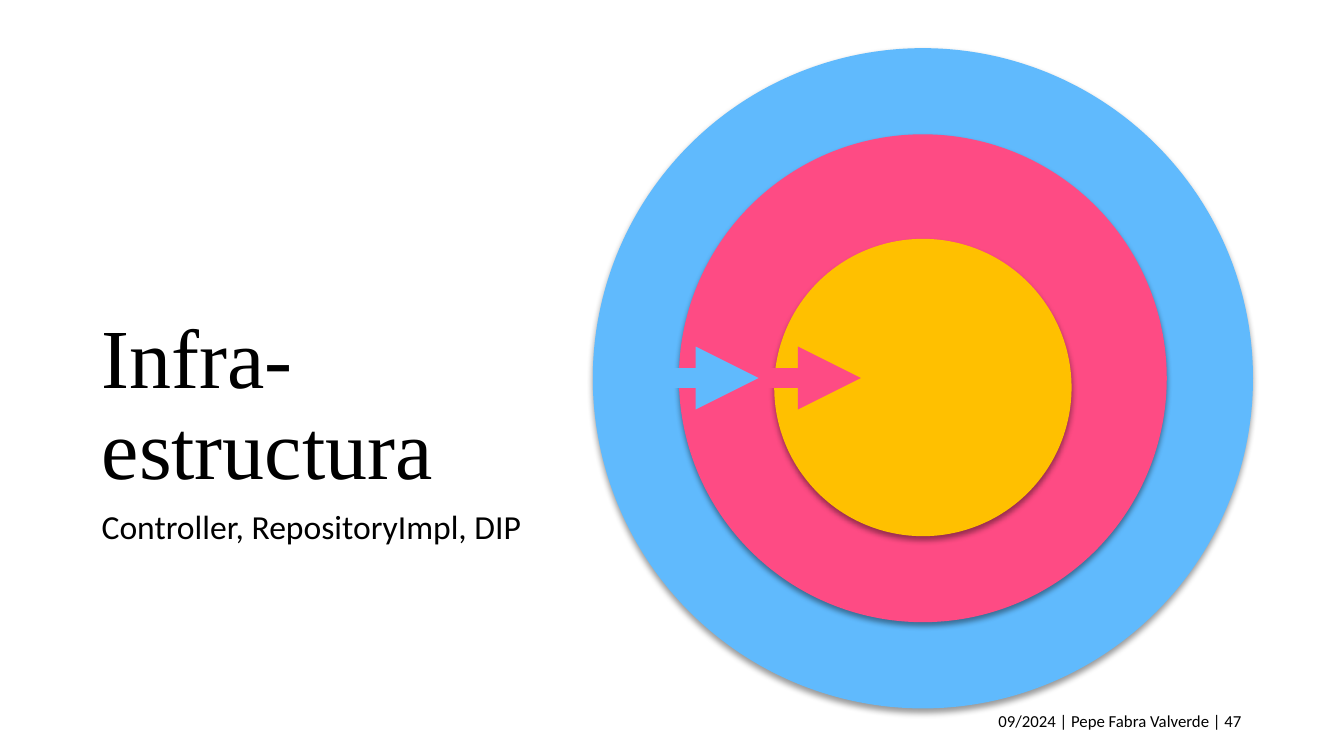
from dataclasses import dataclass

from lxml import etree
from pptx import Presentation
from pptx.dml.color import RGBColor
from pptx.enum.shapes import MSO_CONNECTOR, MSO_SHAPE
from pptx.enum.text import MSO_ANCHOR, MSO_AUTO_SIZE, PP_ALIGN
from pptx.oxml.ns import qn
from pptx.util import Pt

ELLIPSE, STRAIGHT = MSO_SHAPE.OVAL, MSO_CONNECTOR.STRAIGHT
TOP, MIDDLE, BOTTOM = MSO_ANCHOR.TOP, MSO_ANCHOR.MIDDLE, MSO_ANCHOR.BOTTOM
LEFT, RIGHT = PP_ALIGN.LEFT, PP_ALIGN.RIGHT
NO_FIT = MSO_AUTO_SIZE.NONE
TITLE_ONLY = 5


@dataclass(frozen=True)
class Theme:
    text: str = "000000"
    outer: str = "60BAFD"
    middle: str = "FE4B84"
    core: str = "FFC000"
    heading_font: str = "Times New Roman"
    body_font: str = "Calibri"
    title_size: float = 60
    subtitle_size: float = 24
    footer_size: float = 12
    arrow_width: float = 15


THEME = Theme()

TITLE = "Infra-estructura"
SUBTITLE = "Controller, RepositoryImpl, DIP"
FOOTER = "09/2024 | Pepe Fabra Valverde | 47"

# Layers from outside to inside: colour, diameter, centre height
LAYERS = [
    (THEME.outer, 471.6, 270.2),
    (THEME.middle, 348.5, 270.2),
    (THEME.core, 212.4, 276.8),
]
LAYERS_CENTRE = 659.2
ARROW_COLOURS = [THEME.outer, THEME.middle]
ARROW_START, ARROW_LENGTH, ARROW_HEIGHT = 468.9, 73, 270


def write(box, text, font, size, anchor=TOP, align=LEFT, spacing=1.0):
    frame = box.text_frame
    frame.word_wrap = True
    frame.auto_size = NO_FIT
    frame.vertical_anchor = anchor
    para = frame.paragraphs[0]
    para.alignment = align
    para.line_spacing = spacing
    para.space_before = Pt(0)
    span = para.add_run()
    span.text = text
    span.font.name = font
    span.font.size = Pt(size)
    span.font.color.rgb = RGBColor.from_string(THEME.text)


def add_soft_shadow(shape):
    shape.shadow.inherit = False
    effects = shape.element.spPr.find(qn("a:effectLst"))
    shadow = etree.SubElement(
        effects, qn("a:outerShdw"), blurRad=str(Pt(4)), dist=str(Pt(3)),
        dir="5400000", rotWithShape="0")
    colour = etree.SubElement(shadow, qn("a:srgbClr"), val="000000")
    etree.SubElement(colour, qn("a:alpha"), val="40000")


def add_layer(page, colour, diameter, centre_y):
    circle = page.shapes.add_shape(
        ELLIPSE, Pt(LAYERS_CENTRE - diameter / 2), Pt(centre_y - diameter / 2),
        Pt(diameter), Pt(diameter))
    circle.fill.solid()
    circle.fill.fore_color.rgb = RGBColor.from_string(colour)
    circle.line.fill.background()
    add_soft_shadow(circle)


def add_arrow(page, colour, start):
    arrow = page.shapes.add_connector(
        STRAIGHT, Pt(start), Pt(ARROW_HEIGHT),
        Pt(start + ARROW_LENGTH), Pt(ARROW_HEIGHT))
    arrow.line.width = Pt(THEME.arrow_width)
    arrow.line.color.rgb = RGBColor.from_string(colour)
    properties = arrow.element.spPr
    etree.SubElement(properties.find(qn("a:ln")), qn("a:tailEnd"), type="triangle")
    etree.SubElement(properties, qn("a:effectLst"))


def main():
    deck = Presentation()
    deck.slide_width, deck.slide_height = Pt(960), Pt(540)
    page = deck.slides.add_slide(deck.slide_layouts[TITLE_ONLY])

    title = page.shapes.title
    title.left, title.top, title.width, title.height = Pt(65.5), Pt(134.6), Pt(380), Pt(224.6)
    write(title, TITLE, THEME.heading_font, THEME.title_size, BOTTOM, spacing=0.9)

    subtitle = page.shapes.add_textbox(Pt(65.5), Pt(361.4), Pt(828), Pt(118))
    write(subtitle, SUBTITLE, THEME.body_font, THEME.subtitle_size, spacing=0.9)

    for colour, diameter, centre_y in LAYERS:
        add_layer(page, colour, diameter, centre_y)
    for index, colour in enumerate(ARROW_COLOURS):
        add_arrow(page, colour, ARROW_START + index * ARROW_LENGTH)

    footer = page.shapes.add_textbox(Pt(678.2), Pt(500.4), Pt(216), Pt(28.8))
    write(footer, FOOTER, THEME.body_font, THEME.footer_size, MIDDLE, RIGHT)

    deck.save("out.pptx")


if __name__ == "__main__":
    main()
